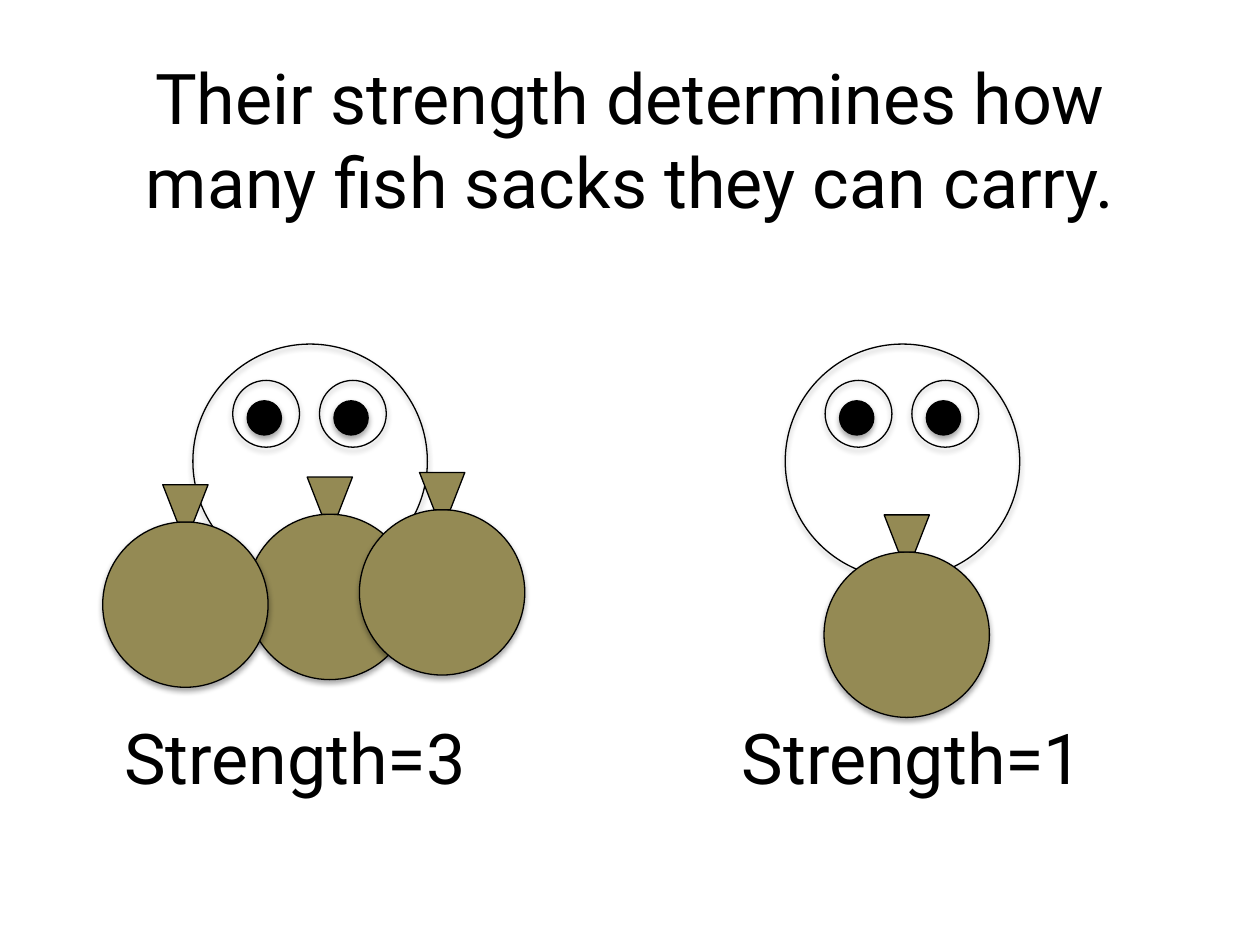
from lxml import etree
from pptx import Presentation
from pptx.dml.color import RGBColor
from pptx.enum.shapes import MSO_SHAPE
from pptx.enum.text import MSO_AUTO_SIZE, PP_ALIGN
from pptx.oxml.ns import qn
from pptx.util import Pt

OVAL = MSO_SHAPE.OVAL
NECK = MSO_SHAPE.TRAPEZOID
CENTER = PP_ALIGN.CENTER
GROW = MSO_AUTO_SIZE.SHAPE_TO_FIT_TEXT
COLORS = {"ink": "000000", "sack": "948A54"}


def color(name):
    return RGBColor.from_string(COLORS[name])


def add_text(slide, text, box, size=40, font="Roboto", ink="ink", align=CENTER):
    frame = slide.shapes.add_textbox(*map(Pt, box)).text_frame
    frame.word_wrap = True
    frame.auto_size = GROW
    para = frame.paragraphs[0]
    para.alignment = align
    run = para.add_run()
    run.text = text
    run.font.size = Pt(size)
    run.font.name = font
    run.font.color.rgb = color(ink)


def add_shade(shape):
    effects = shape._element.spPr.find(qn("a:effectLst"))
    shade = etree.SubElement(
        effects, qn("a:outerShdw"), blurRad=str(Pt(3.1)), dist=str(Pt(1.8)),
        dir="5400000", rotWithShape="0")
    tint = etree.SubElement(shade, qn("a:srgbClr"), val=COLORS["ink"])
    etree.SubElement(tint, qn("a:alpha"), val="35000")


def add_part(group, kind, box, fill=None, shade=True):
    shape = group.shapes.add_shape(kind, *map(Pt, box))
    shape.shadow.inherit = False
    if fill:
        shape.fill.solid()
        shape.fill.fore_color.rgb = color(fill)
    else:
        shape.fill.background()
    shape.line.color.rgb = color("ink")
    shape.line.width = Pt(0.75)
    if shade:
        add_shade(shape)
    return shape


def draw_face(slide, left, top, size):
    group = slide.shapes.add_group_shape()
    add_part(group, OVAL, (left, top, size, size))
    eye, pupil, gap = size * 0.285, size * 0.146, size * 0.37
    for step in range(2):
        add_part(group, OVAL, (left + size * 0.17 + step * gap,
                               top + size * 0.155, eye, eye))
    for step in range(2):
        add_part(group, OVAL, (left + size * 0.232 + step * gap,
                               top + size * 0.242, pupil, pupil), fill="ink")


def draw_sack(slide, left, top, size):
    group = slide.shapes.add_group_shape()
    wide, high = size * 0.274, size * 0.225
    add_part(group, OVAL, (left, top + high, size, size), fill="sack")
    neck = add_part(group, NECK, (left + (size - wide) / 2, top, wide, high),
                    fill="sack", shade=False)
    neck.adjustments[0] = 0.39
    neck.rotation = 180


def draw_bird(slide, left, top, label, sacks):
    draw_face(slide, left, top, 134)
    for across, down in sacks:
        draw_sack(slide, left + across, top + down, 94.5)
    add_text(slide, label, (*LABELS[label], 225, 55.5))


LABELS = {"Strength=3": (56, 404.5), "Strength=1": (409, 404.5)}
BIRDS = [
    (110.2, "Strength=3", [(31, 76), (95.2, 73.4), (-51.5, 80.4)]),
    (448.7, "Strength=1", [(22.2, 97.6)]),
]


def main():
    deck = Presentation()
    deck.slide_width, deck.slide_height = Pt(720), Pt(540)
    slide = deck.slides.add_slide(deck.slide_layouts[6])
    add_text(slide, "Their strength determines how many fish sacks they can carry.",
             (43.5, 27.5, 633, 104.5))
    for left, label, sacks in BIRDS:
        draw_bird(slide, left, 196.6, label, sacks)
    deck.save("out.pptx")


if __name__ == "__main__":
    main()
